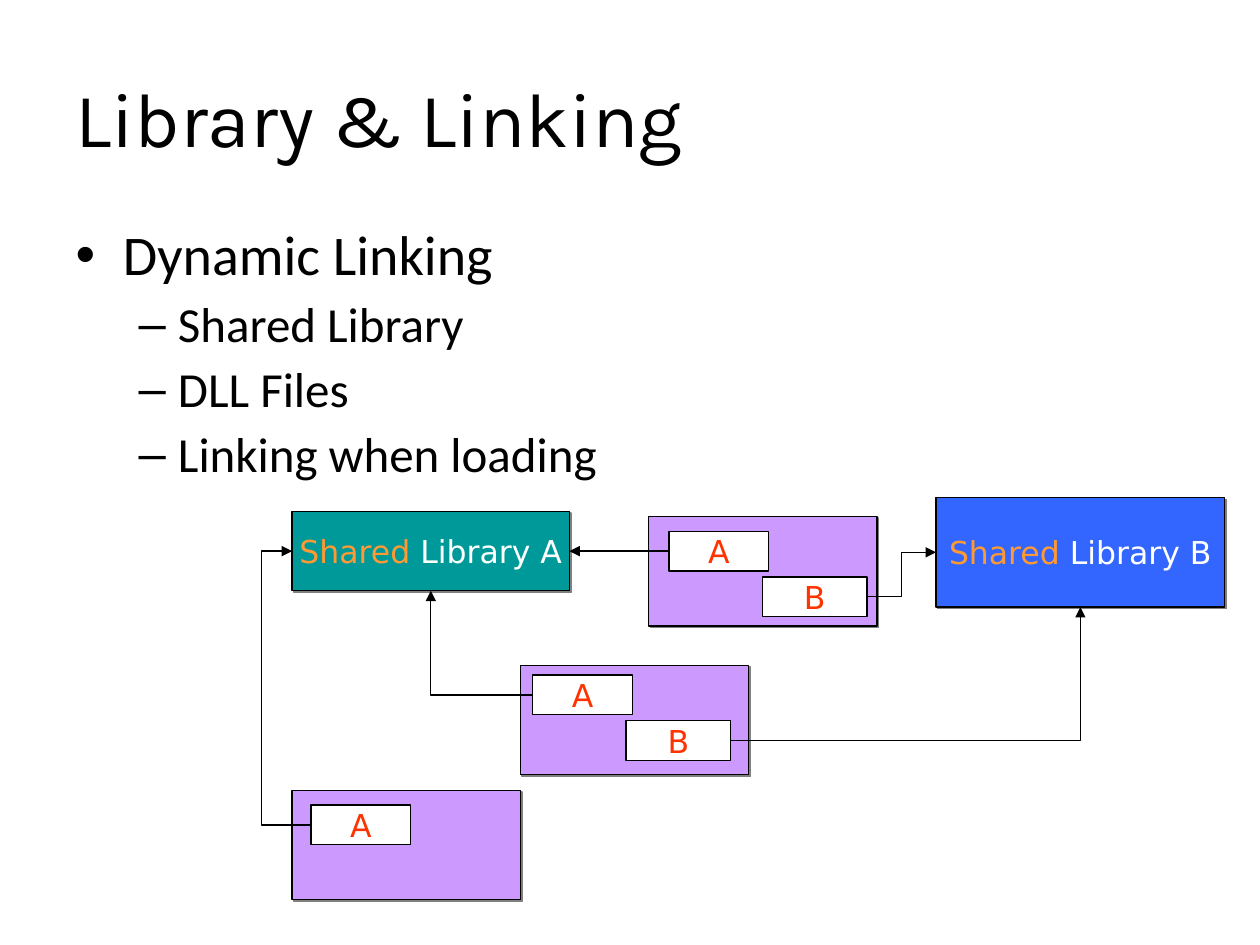
from lxml.etree import SubElement
from pptx import Presentation
from pptx.dml.color import RGBColor
from pptx.enum.shapes import MSO_CONNECTOR as CXN, MSO_SHAPE as SHAPE
from pptx.enum.text import MSO_ANCHOR as ANCHOR, MSO_AUTO_SIZE as AUTO, PP_ALIGN as ALIGN
from pptx.oxml.ns import qn
from pptx.util import Cm, Pt

BLACK = RGBColor(0x00, 0x00, 0x00)
WHITE = RGBColor(0xFF, 0xFF, 0xFF)
PURPLE = RGBColor(0xCC, 0x99, 0xFF)
TEAL = RGBColor(0x00, 0x99, 0x99)
BLUE = RGBColor(0x33, 0x66, 0xFF)
ORANGE = RGBColor(0xFF, 0x99, 0x33)
RED = RGBColor(0xFF, 0x33, 0x00)

TITLE = "Library & Linking"
BULLETS = [
    (0, "Dynamic Linking"),
    (1, "Shared Library"),
    (1, "DLL Files"),
    (1, "Linking when loading"),
]
LEVELS = [{"size": 32, "before": 8}, {"size": 28, "before": 7}]
LIBRARIES = [
    ("Library A", (5.89, 10.31, 5.59, 1.6), TEAL),
    ("Library B", (18.87, 10.03, 5.82, 2.21), BLUE),
]
PROGRAMS = [
    {"id": 3, "at": (5.89, 15.93), "inset": (0.38, 0.3), "stubs": "A"},
    {"id": 1, "at": (13.08, 10.41), "inset": (0.41, 0.3), "stubs": "AB"},
    {"id": 2, "at": (10.49, 13.41), "inset": (0.25, 0.2), "stubs": "AB"},
]
PROGRAM_SIZE = (4.6, 2.21)
STUB_SIZES = {"A": (2.01, 0.8), "B": (2.11, 0.8)}
STUB_STEP = (1.88, 0.92)
TOP, LEFT, BOTTOM, RIGHT = range(4)
LINKS = [
    ("A2", LEFT, "Library A", BOTTOM, "bentConnector2", None, "tailEnd"),
    ("A1", LEFT, "Library A", RIGHT, "line", None, "tailEnd"),
    ("Library A", LEFT, "A3", LEFT, "bentConnector3", -161600, "headEnd"),
    ("B2", RIGHT, "Library B", BOTTOM, "bentConnector2", None, "tailEnd"),
    ("B1", RIGHT, "Library B", LEFT, "bentConnector3", 50000, "tailEnd"),
]


def style(obj, values):
    for name, value in values.items():
        setattr(obj, name, value)


def place(s, left, top, width, height):
    style(s, {"left": Cm(left), "top": Cm(top), "width": Cm(width), "height": Cm(height)})


def add_run(p, text, font, size, color):
    r = p.add_run()
    r.text = text
    style(r.font, {"name": font, "size": Pt(size)})
    r.font.color.rgb = color


def outline(s):
    s.line.color.rgb = BLACK
    s.line.width = Pt(0.75)


def add_box(slide, at, fill, runs=(), shadow=False):
    s = slide.shapes.add_shape(SHAPE.RECTANGLE, *map(Cm, at))
    s.fill.solid()
    s.fill.fore_color.rgb = fill
    outline(s)
    s.shadow.inherit = False
    if shadow:
        effects = s.element.spPr.find(qn("a:effectLst"))
        cast = SubElement(effects, qn("a:outerShdw"), dist="17960", dir="2700000",
                          algn="ctr", rotWithShape="0")
        SubElement(cast, qn("a:srgbClr"), val="808080")
    tf = s.text_frame
    style(tf, {"word_wrap": False, "vertical_anchor": ANCHOR.MIDDLE})
    p = tf.paragraphs[0]
    p.alignment = ALIGN.CENTER
    for text, color in runs:
        add_run(p, text, "DejaVu Sans", 18, color)
    return s


def add_link(slide, boxes, start, start_side, end, end_side, preset, bend, arrow):
    kind = CXN.STRAIGHT if preset == "line" else CXN.ELBOW
    s = slide.shapes.add_connector(kind, 0, 0, 0, 0)
    s.begin_connect(boxes[start], start_side)
    s.end_connect(boxes[end], end_side)
    outline(s)
    spPr = s.element.spPr
    geometry = spPr.find(qn("a:prstGeom"))
    geometry.set("prst", preset)
    if bend is not None:
        guides = geometry.find(qn("a:avLst"))
        SubElement(guides, qn("a:gd"), name="adj1", fmla=f"val {bend}")
    SubElement(spPr.find(qn("a:ln")), qn(f"a:{arrow}"), type="triangle")
    SubElement(spPr, qn("a:effectLst"))


def add_text(slide):
    title, body = slide.placeholders
    place(title, 1.27, 0.76, 22.86, 3.18)
    style(title.text_frame, {"vertical_anchor": ANCHOR.MIDDLE, "auto_size": AUTO.NONE})
    p = title.text_frame.paragraphs[0]
    p.alignment = ALIGN.LEFT
    add_run(p, TITLE, "Karla", 44, BLACK)

    place(body, 1.27, 4.45, 22.86, 5.44)
    tf = body.text_frame
    tf.auto_size = AUTO.NONE
    for i, (level, text) in enumerate(BULLETS):
        p = tf.add_paragraph() if i else tf.paragraphs[0]
        before = LEVELS[level]["before"] if i else 0
        style(p, {"level": level, "line_spacing": 0.9, "space_before": Pt(before)})
        add_run(p, text, "Calibri", LEVELS[level]["size"], BLACK)


def add_diagram(slide):
    boxes = {}
    for program in PROGRAMS:
        add_box(slide, program["at"] + PROGRAM_SIZE, PURPLE, shadow=True)
    for name, at, fill in LIBRARIES:
        runs = [("Shared", ORANGE), (f" {name}", WHITE)]
        boxes[name] = add_box(slide, at, fill, runs, shadow=True)
    for program in PROGRAMS:
        for i, letter in enumerate(program["stubs"]):
            corner = tuple(start + inset + i * step for start, inset, step
                           in zip(program["at"], program["inset"], STUB_STEP))
            boxes[f"{letter}{program['id']}"] = add_box(
                slide, corner + STUB_SIZES[letter], WHITE, [(letter, RED)])
    for link in LINKS:
        add_link(slide, boxes, *link)


def main():
    """Build the dynamic linking slide."""
    prs = Presentation()
    style(prs, {"slide_width": Cm(25.4), "slide_height": Cm(19.05)})
    slide = prs.slides.add_slide(prs.slide_layouts[1])
    add_text(slide)
    add_diagram(slide)
    prs.save("out.pptx")


if __name__ == "__main__":
    main()
